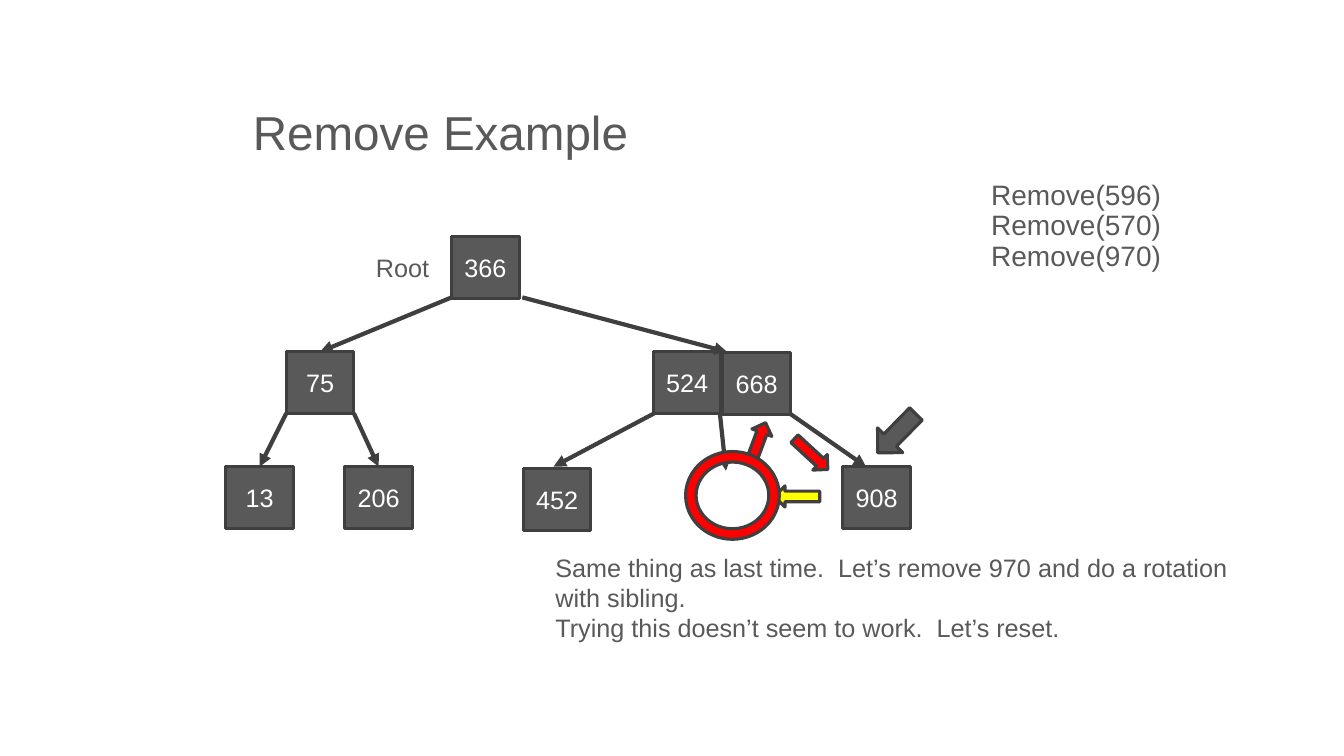
from dataclasses import dataclass

from lxml.etree import SubElement
from pptx import Presentation
from pptx.dml.color import RGBColor as RGB
from pptx.enum.shapes import MSO_CONNECTOR as CONN, MSO_SHAPE as SHAPE
from pptx.enum.text import MSO_ANCHOR as ANCHOR, PP_ALIGN as ALIGN
from pptx.oxml.ns import qn
from pptx.util import Pt

PX = 9144
NODE_W, NODE_H = 67, 61


@dataclass(frozen=True)
class Theme:
    """Colours, font and sizes of the slide."""
    font: str = "Arial"
    grey: RGB = RGB(0x59, 0x59, 0x59)
    outline: RGB = RGB(0x3F, 0x3F, 0x3F)
    white: RGB = RGB(0xFF, 0xFF, 0xFF)
    red: RGB = RGB(0xFF, 0x00, 0x00)
    yellow: RGB = RGB(0xFF, 0xFF, 0x00)
    title: int = 34
    list: int = 20
    body: int = 18
    border: float = 2.25
    edge: int = 3


T = Theme()

NODES = {
    "366": (448, 235),
    "75": (284, 349),
    "524": (648, 349),
    "668": (717, 350),
    "13": (224, 463),
    "206": (342, 463),
    "452": (519, 465),
    "908": (836, 463),
}
JOINED_EDGES = [
    ((448, 295), "75"),
    ((284, 410), "13"),
    ((351, 410), "206"),
]
FREE_EDGES = [
    ((518, 295), (721, 349)),
    ((649, 410), (549, 463)),
    ((714, 410), (720, 467)),
    ((783, 410), (859, 463)),
]
MARKERS = [
    (SHAPE.DOWN_ARROW, (872, 403, 35, 54), T.grey, 44.5, None),
    (SHAPE.RIGHT_ARROW, (768, 482, 45, 21), T.yellow, 180, None),
    (SHAPE.RIGHT_ARROW, (782, 440, 45, 21), T.red, 42.6, None),
    (SHAPE.RIGHT_ARROW, (729, 430, 45, 21), T.red, 290.4, None),
    (SHAPE.DONUT, (680, 448, 93, 87), T.red, 0, 0.12),
]


def px(*lengths):
    """Turn pixel lengths into EMU."""
    return [n * PX for n in lengths]


def style_text(tf, size, color, align=ALIGN.LEFT, spacing=None):
    """Format every paragraph and run of a text frame."""
    for p in tf.paragraphs:
        p.alignment = align
        p.line_spacing = spacing
        for r in p.runs:
            r.font.name, r.font.size = T.font, Pt(size)
            r.font.color.rgb = color


def add_text(slide, box, text, size, anchor=ANCHOR.TOP, spacing=None, wrap=True):
    """Add a text box and return its text frame."""
    tf = slide.shapes.add_textbox(*px(*box)).text_frame
    tf.word_wrap = wrap
    tf.vertical_anchor = anchor
    tf.text = text
    style_text(tf, size, T.grey, spacing=spacing)
    return tf


def add_shape(slide, kind, box, fill, rotation=0, adjust=None):
    """Add a filled, outlined preset shape."""
    sp = slide.shapes.add_shape(kind, *px(*box))
    sp.shadow.inherit = False
    sp.fill.solid()
    sp.fill.fore_color.rgb = fill
    sp.line.color.rgb = T.outline
    sp.line.width = Pt(T.border)
    sp.rotation = rotation
    if adjust is not None:
        sp.adjustments[0] = adjust
    return sp


def add_node(slide, label, at):
    """Add one labelled key of the tree."""
    sp = add_shape(slide, SHAPE.RECTANGLE, (*at, NODE_W, NODE_H), T.grey)
    tf = sp.text_frame
    tf.vertical_anchor = ANCHOR.MIDDLE
    tf.text = label
    style_text(tf, T.body, T.white, ALIGN.CENTER)
    return sp


def add_edge(slide, start, end):
    """Add an arrow between two points of the tree."""
    cx = slide.shapes.add_connector(CONN.STRAIGHT, *px(*start, *end))
    cx.line.color.rgb = T.outline
    cx.line.width = Pt(T.edge)
    SubElement(cx.line._get_or_add_ln(), qn("a:tailEnd"), type="triangle")
    SubElement(cx._element.spPr, qn("a:effectLst"))
    return cx


def main():
    """Build the slide and save it."""
    prs = Presentation()
    prs.slide_width, prs.slide_height = px(1333, 750)
    slide = prs.slides.add_slide(prs.slide_layouts[6])

    add_text(slide, (241, 33, 1025, 131), "Remove Example", T.title,
             ANCHOR.BOTTOM, 0.9)
    calls = add_text(slide, (968, 175, 299, 450),
                     "Remove(596)\nRemove(570)\nRemove(970)", T.list, spacing=0.9)
    calls.margin_left = 15 * PX
    add_text(slide, (363, 245, 74, 40), "Root", T.body, wrap=False)

    nodes = {label: add_node(slide, label, at) for label, at in NODES.items()}
    for start, child in JOINED_EDGES:
        left, top = NODES[child]
        cx = add_edge(slide, start, (left + NODE_W // 2, top))
        cx.end_connect(nodes[child], 0)
    for start, end in FREE_EDGES:
        add_edge(slide, start, end)

    add_text(slide, (541, 543, 725, 101),
             "Same thing as last time.  Let’s remove 970 and do a rotation "
             "with sibling.\nTrying this doesn’t seem to work.  Let’s reset.",
             T.body)
    for marker in MARKERS:
        add_shape(slide, *marker)

    prs.save("out.pptx")


if __name__ == "__main__":
    main()
